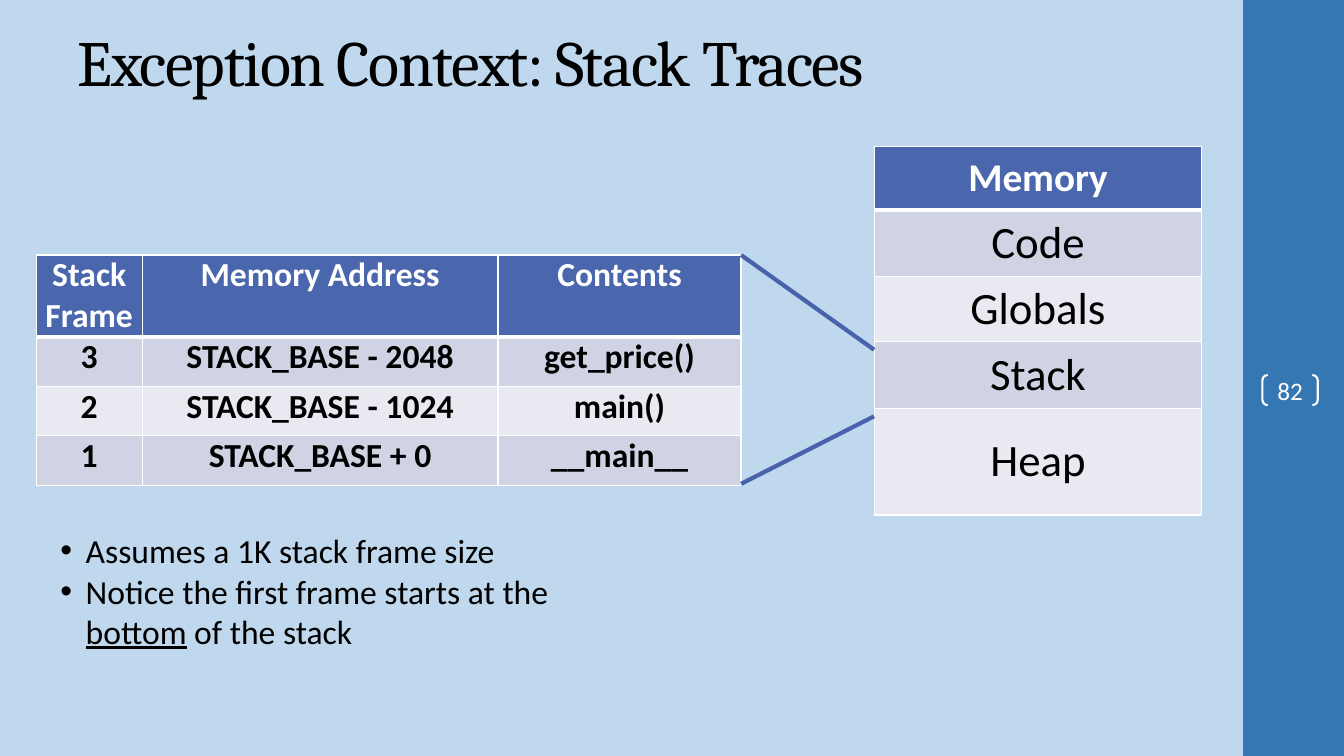
import pptx
import pptx.dml.color
import pptx.enum.shapes
import pptx.enum.text
import pptx.oxml
import pptx.oxml.ns
import pptx.util

Inches = pptx.util.Inches
Pt = pptx.util.Pt
RGBColor = pptx.dml.color.RGBColor
ALIGN = pptx.enum.text.PP_ALIGN
ANCHOR = pptx.enum.text.MSO_ANCHOR
SHAPE = pptx.enum.shapes.MSO_SHAPE

SKY = RGBColor(0xC0, 0xD8, 0xED)
SIDEBAR = RGBColor(0x34, 0x77, 0xB2)
HEADER = RGBColor(0x4A, 0x66, 0xAC)
BAND_DARK = RGBColor(0xD0, 0xD3, 0xE3)
BAND_LIGHT = RGBColor(0xE9, 0xEA, 0xF1)
LINE = RGBColor(0x46, 0x63, 0xAB)
WHITE = RGBColor(0xFF, 0xFF, 0xFF)
BLACK = RGBColor(0, 0, 0)

STACK_BOX = (0.36, 2.53, 6.99, 2.27)
MEMORY_BOX = (8.67, 1.45, 3.25, 3.66)


def place(shape, box):
    """Move and size a shape to a box given in inches."""
    shape.left, shape.top, shape.width, shape.height = [Inches(v) for v in box]


def add_run(p, text, size, color=BLACK, name="Calibri", bold=False):
    """Add one formatted run to a paragraph."""
    r = p.add_run()
    r.text = text
    r.font.size = Pt(size)
    r.font.name = name
    r.font.bold = bold
    r.font.color.rgb = color
    return r


def add_title(s, box, text):
    """Fill the title placeholder."""
    sp = s.shapes.title
    place(sp, box)
    tf = sp.text_frame
    tf.word_wrap = True
    tf.auto_size = pptx.enum.text.MSO_AUTO_SIZE.NONE
    tf.vertical_anchor = ANCHOR.MIDDLE
    p = tf.paragraphs[0]
    p.alignment = ALIGN.LEFT
    r = add_run(p, text, 46, name="Cambria")
    r.font._element.set("spc", "-100")


def add_notes_list(s, box, items):
    """Fill the body placeholder with bullets made of (text, underlined) runs."""
    sp = s.placeholders[1]
    place(sp, box)
    tf = sp.text_frame
    tf.word_wrap = True
    tf.auto_size = pptx.enum.text.MSO_AUTO_SIZE.NONE
    for i, item in enumerate(items):
        p = tf.paragraphs[0] if i == 0 else tf.add_paragraph()
        pPr = p._p.get_or_add_pPr()
        pPr.set("marL", str(Inches(0.25)))
        pPr.set("indent", str(-Inches(0.25)))
        p.space_before = Pt(0)
        for text, underlined in item:
            add_run(p, text, 24).font.underline = underlined


def add_borders(cell, top, bottom):
    """Draw white cell borders with the given top and bottom widths in points."""
    tcPr = cell._tc.get_or_add_tcPr()
    for side, width in (("L", 1), ("R", 1), ("T", top), ("B", bottom)):
        tcPr.append(pptx.oxml.parse_xml(
            f'<a:ln{side} {pptx.oxml.ns.nsdecls("a")} w="{Pt(width)}"><a:solidFill>'
            f'<a:srgbClr val="{WHITE}"/></a:solidFill></a:ln{side}>'))


def add_grid(s, box, rows, widths, heights, sizes, bold, anchor, inset):
    """Add a banded table; sizes holds the header and body text sizes."""
    table = s.shapes.add_table(
        len(rows), len(widths), *[Inches(v) for v in box]).table
    for column, width in zip(table.columns, widths):
        column.width = Inches(width)
    for i, texts in enumerate(rows):
        table.rows[i].height = Inches(heights[i])
        head = i == 0
        for j, text in enumerate(texts):
            cell = table.cell(i, j)
            add_borders(cell, 3 if i == 1 else 1, 3 if head else 1)
            cell.fill.solid()
            cell.fill.fore_color.rgb = (
                HEADER if head else BAND_DARK if i % 2 else BAND_LIGHT)
            cell.vertical_anchor = anchor
            if inset is not None:
                cell.margin_left = cell.margin_right = Inches(inset)
                cell.margin_top = cell.margin_bottom = Inches(inset)
            p = cell.text_frame.paragraphs[0]
            p.alignment = ALIGN.CENTER
            for k, part in enumerate(text.split("\n")):
                if k:
                    p.add_line_break()
                add_run(p, part, sizes[0] if head else sizes[1],
                        WHITE if head else BLACK, bold=head or bold)


def add_stack_table(s, box):
    """Add the table of stack frames."""
    rows = [("Stack\nFrame", "Memory Address", "Contents"),
            ("3", "STACK_BASE - 2048", "get_price()"),
            ("2", "STACK_BASE - 1024", "main()"),
            ("1", "STACK_BASE + 0", "__main__")]
    add_grid(s, box, rows, [1.05, 3.53, 2.41], [0.8] + [0.49] * 3,
             (24, 24), True, ANCHOR.TOP, 0)


def add_memory_table(s, box):
    """Add the memory layout table."""
    rows = [("Memory",), ("Code",), ("Globals",), ("Stack",), ("Heap",)]
    add_grid(s, box, rows, [box[2]], [0.63, 0.66, 0.65, 0.66, 1.06],
             (28, 32), False, ANCHOR.MIDDLE, None)


def add_zoom_lines(s, memory, stack):
    """Join the Stack row of memory to the corners of the stack table."""
    left, top, width, height = stack
    for y, corner in ((memory[1] + 2.02, top), (memory[1] + 2.68, top + height)):
        c = s.shapes.add_connector(
            pptx.enum.shapes.MSO_CONNECTOR.STRAIGHT, Inches(memory[0]),
            Inches(y), Inches(left + width), Inches(corner))
        c.line.color.rgb = LINE
        c.line.width = Pt(3)
        c._element.spPr.append(pptx.oxml.parse_xml(
            f'<a:effectLst {pptx.oxml.ns.nsdecls("a")}/>'))


def add_sidebar(s, box, number):
    """Add the side band with the bracketed slide number."""
    left, top, width, height = box
    band = s.shapes.add_shape(SHAPE.RECTANGLE, *[Inches(v) for v in box])
    band.shadow.inherit = False
    band.fill.solid()
    band.fill.fore_color.rgb = SIDEBAR
    band.line.fill.background()
    sp = s.shapes.add_shape(SHAPE.DOUBLE_BRACKET, Inches(left + 0.19),
                            Inches(top + 3.72), Inches(0.55), Inches(0.3))
    sp.shadow.inherit = False
    sp.adjustments[0] = 0.18
    sp.fill.background()
    sp.line.color.rgb = WHITE
    sp.line.width = Pt(1.5)
    tf = sp.text_frame
    tf.margin_left = tf.margin_right = tf.margin_top = tf.margin_bottom = 0
    tf.vertical_anchor = ANCHOR.MIDDLE
    p = tf.paragraphs[0]
    p.alignment = ALIGN.CENTER
    add_run(p, number, 18, WHITE)


def main():
    """Build and save the slide."""
    prs = pptx.Presentation()
    prs.slide_width, prs.slide_height = Inches(13.33), Inches(7.5)
    s = prs.slides.add_slide(prs.slide_layouts[1])
    s.background.fill.solid()
    s.background.fill.fore_color.rgb = SKY
    add_sidebar(s, (12.33, 0, 1, 7.5), "82")
    add_title(s, (0.67, 0.19, 11.11, 0.83), "Exception Context: Stack Traces")
    add_stack_table(s, STACK_BOX)
    add_notes_list(s, (0.5, 5.21, 5.06, 1.31), [
        [("Assumes a 1K stack frame size", False)],
        [("Notice the first frame starts at the ", False), ("bottom", True),
         (" of the stack", False)]])
    add_memory_table(s, MEMORY_BOX)
    add_zoom_lines(s, MEMORY_BOX, STACK_BOX)
    prs.save("out.pptx")


if __name__ == "__main__":
    main()
